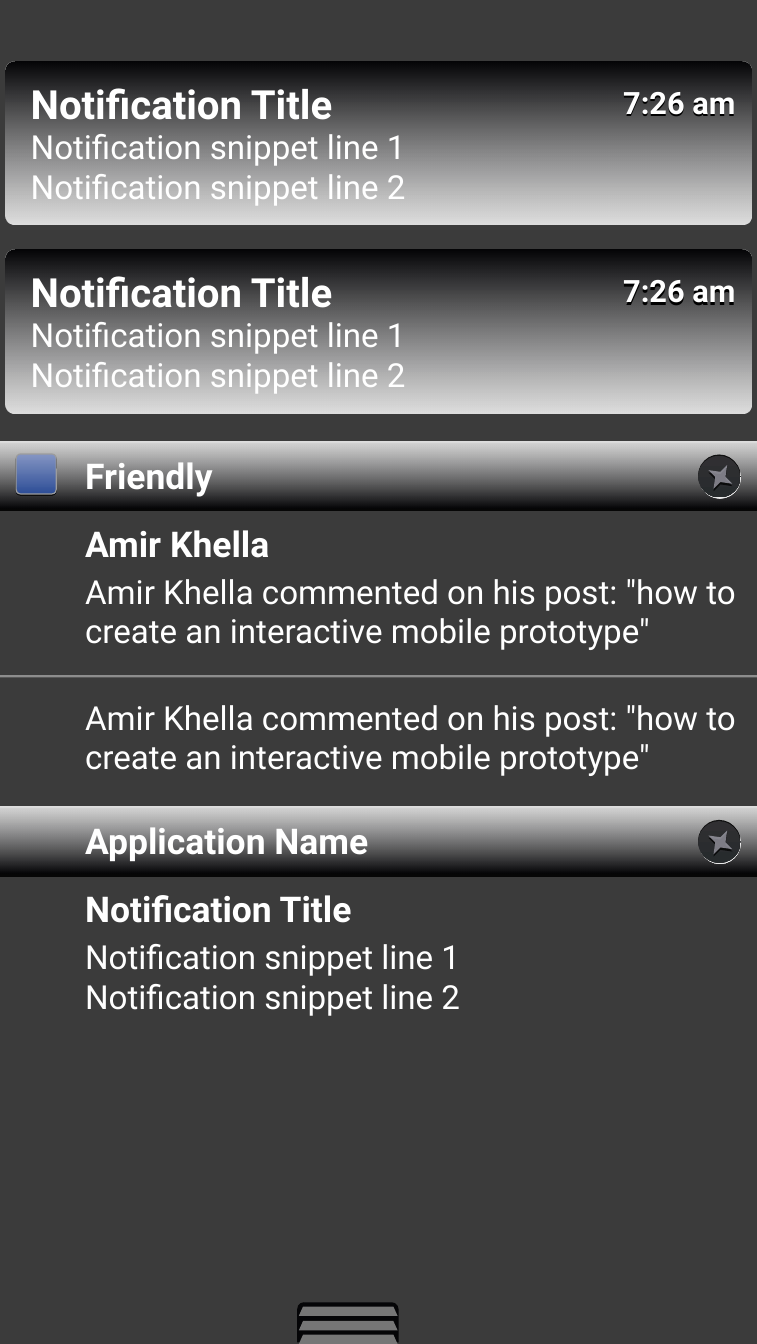
from dataclasses import dataclass

from lxml.etree import SubElement
from pptx import Presentation
from pptx.dml.color import RGBColor
from pptx.enum.dml import MSO_FILL
from pptx.enum.shapes import MSO_CONNECTOR, MSO_SHAPE
from pptx.enum.text import MSO_ANCHOR, PP_ALIGN
from pptx.oxml.ns import qn
from pptx.util import Emu, Pt

PX = 9144  # 100 px to the inch
WIDTH, HEIGHT = 889, 1578
FONT = "Roboto"
WHITE, BLACK, INK = "FFFFFF", "000000", "050507"
POST = 'Amir Khella commented on his post: "how to create an interactive mobile prototype"'
SNIPPET = "Notification snippet line 1\nNotification snippet line 2"
GLASS = (WHITE, 83)
SOLID_INK = (INK, 100)
DISC = (("302F32", 100), ("272B2D", 100))


@dataclass(frozen=True)
class Box:
    left: int
    top: int
    width: int
    height: int

    def emu(self) -> list[Emu]:
        return [px(n) for n in (self.left, self.top, self.width, self.height)]


@dataclass(frozen=True)
class Shadow:
    color: str
    alpha: int
    dist: int
    angle: int = 90


@dataclass(frozen=True)
class Label:
    text: str
    box: Box
    size: int
    bold: bool = False


@dataclass(frozen=True)
class Header:
    name: str
    top: int
    name_width: int


def px(n: int) -> Emu:
    return Emu(n * PX)


def rgb(color: str) -> RGBColor:
    return RGBColor.from_string(color)


def set_alpha(node, percent: int) -> None:
    if percent < 100:
        SubElement(node, qn("a:alpha"), val=str(percent * 1000))


def paint(sp, *colors: tuple[str, int]) -> None:
    """Fill with one (colour, alpha) pair, or with a gradient running down."""
    if len(colors) == 1:
        sp.fill.solid()
        sp.fill.fore_color.rgb = rgb(colors[0][0])
    else:
        sp.fill.gradient()
        sp.fill.gradient_angle = 270
        for stop, (color, _) in zip(sp.fill.gradient_stops, colors):
            stop.color.rgb = rgb(color)
    tag = "a:gradFill" if sp.fill.type == MSO_FILL.GRADIENT else "a:solidFill"
    nodes = sp._element.spPr.find(qn(tag)).iter(qn("a:srgbClr"))
    for node, (_, alpha) in zip(nodes, colors):
        set_alpha(node, alpha)
    sp.line.fill.background()


def cast(sp, shadow: Shadow | None) -> None:
    sp.shadow.inherit = False
    if shadow:
        effects = sp._element.spPr.find(qn("a:effectLst"))
        outer = SubElement(effects, qn("a:outerShdw"), dist=str(Pt(shadow.dist)),
                           dir=str(shadow.angle * 60000), rotWithShape="0")
        set_alpha(SubElement(outer, qn("a:srgbClr"), val=shadow.color), shadow.alpha)


def add_shape(shapes, kind: MSO_SHAPE, box: Box, *colors: tuple[str, int],
              adj: float | None = None, shadow: Shadow | None = None):
    sp = shapes.add_shape(kind, *box.emu())
    if adj is not None:
        sp.adjustments[0] = adj
    paint(sp, *colors)
    cast(sp, shadow)
    return sp


def add_text(shapes, text: str, box: Box, *, size: int, bold: bool = False,
             align: PP_ALIGN = PP_ALIGN.LEFT, shadow: Shadow | None = None) -> None:
    sp = shapes.add_textbox(*box.emu())
    cast(sp, shadow)
    tf = sp.text_frame
    tf.word_wrap = True
    tf.vertical_anchor = MSO_ANCHOR.MIDDLE
    tf.margin_left = tf.margin_right = tf.margin_top = tf.margin_bottom = px(4)
    for i, line in enumerate(text.split("\n")):
        p = tf.add_paragraph() if i else tf.paragraphs[0]
        p.alignment = align
        r = p.add_run()
        r.text = line
        r.font.name, r.font.size, r.font.bold = FONT, Pt(size), bold
        r.font.color.rgb = rgb(WHITE)


def add_card(shapes, top: int) -> None:
    add_shape(shapes, MSO_SHAPE.ROUNDED_RECTANGLE, Box(7, top, 875, 192),
              SOLID_INK, GLASS, adj=0.06)
    add_text(shapes, SNIPPET, Box(32, top + 72, 461, 102), size=28)
    add_text(shapes, "Notification Title", Box(32, top + 17, 381, 64), size=34, bold=True)
    add_text(shapes, "7:26 am", Box(725, top + 22, 143, 52), size=26, bold=True,
             align=PP_ALIGN.RIGHT, shadow=Shadow(BLACK, 100, 2))


def add_close_button(shapes, top: int) -> None:
    group = shapes.add_group_shape().shapes
    for left, shadow in ((821, Shadow(WHITE, 90, 1)), (820, Shadow(BLACK, 90, 1, 270))):
        add_shape(group, MSO_SHAPE.OVAL, Box(left, top, 49, 49), *DISC, shadow=shadow)
    # Cross: each quarter turn of one arm gives three corners
    corners, arm = [], [(14, 8), (6, 0), (14, -8)]
    for _ in range(4):
        corners += arm[:2]
        arm = [(y, -x) for x, y in arm]
    points = [(846 + x, top + 25 + y) for x, y in corners]
    builder = group.build_freeform(*points[0], scale=PX)
    builder.add_line_segments(points[1:], close=True)
    cross = builder.convert_to_shape()
    paint(cross, ("A4A3AE", 75))
    cast(cross, Shadow(BLACK, 100, 2))


def add_header(shapes, header: Header) -> None:
    add_shape(shapes, MSO_SHAPE.RECTANGLE, Box(0, header.top, WIDTH, 79),
              GLASS, SOLID_INK, shadow=Shadow(BLACK, 90, 2))
    add_text(shapes, header.name, Box(96, header.top + 10, header.name_width, 59),
             size=30, bold=True)
    add_close_button(shapes, header.top + 17)


def add_divider(shapes, y: int) -> None:
    line = shapes.add_connector(MSO_CONNECTOR.STRAIGHT, 0, px(y), px(WIDTH), px(y))
    line.line.width = Pt(2)
    line.line.color.rgb = rgb(WHITE)
    sp_pr = line._element.spPr
    set_alpha(next(sp_pr.iter(qn("a:srgbClr"))), 41)
    SubElement(sp_pr, qn("a:effectLst"))


def add_handle(shapes) -> None:
    group = shapes.add_group_shape().shapes
    add_shape(group, MSO_SHAPE.ROUND_2_SAME_RECTANGLE, Box(349, 1529, 119, 47),
              SOLID_INK, adj=0.17)
    for top in (1534, 1551, 1567):
        add_shape(group, MSO_SHAPE.TRAPEZOID, Box(351, top, 116, 11),
                  ("767676", 100), adj=0.45)


CARD_TOPS = (72, 293)
HEADERS = (Header("Friendly", 518, 206), Header("Application Name", 947, 362))
LABELS = (
    Label("Amir Khella", Box(96, 608, 239, 59), 30, True),
    Label(POST, Box(96, 666, 772, 102), 28),
    Label(POST, Box(96, 814, 772, 102), 28),
    Label("Notification Title", Box(96, 1037, 337, 59), 30, True),
    Label(SNIPPET, Box(96, 1095, 772, 102), 28),
)


def main() -> None:
    prs = Presentation()
    prs.slide_width, prs.slide_height = px(WIDTH), px(HEIGHT)
    s = prs.slides.add_slide(prs.slide_layouts[6])
    s.background.fill.solid()
    s.background.fill.fore_color.rgb = rgb("3B3B3B")

    # Notification cards
    for top in CARD_TOPS:
        add_card(s.shapes, top)

    # Application sections
    for header in HEADERS:
        add_header(s.shapes, header)
    for label in LABELS:
        add_text(s.shapes, label.text, label.box, size=label.size, bold=label.bold)
    add_divider(s.shapes, 794)

    # Application icon
    icon = add_shape(s.shapes, MSO_SHAPE.ROUNDED_RECTANGLE, Box(19, 533, 47, 47),
                     ("8495C3", 100), ("2E4E97", 100), adj=0.11,
                     shadow=Shadow(BLACK, 75, 1))
    icon.line.color.rgb = rgb("9C9C9C")
    icon.line.width = Pt(1)

    # Pull-up handle
    add_handle(s.shapes)
    prs.save("out.pptx")


if __name__ == "__main__":
    main()
